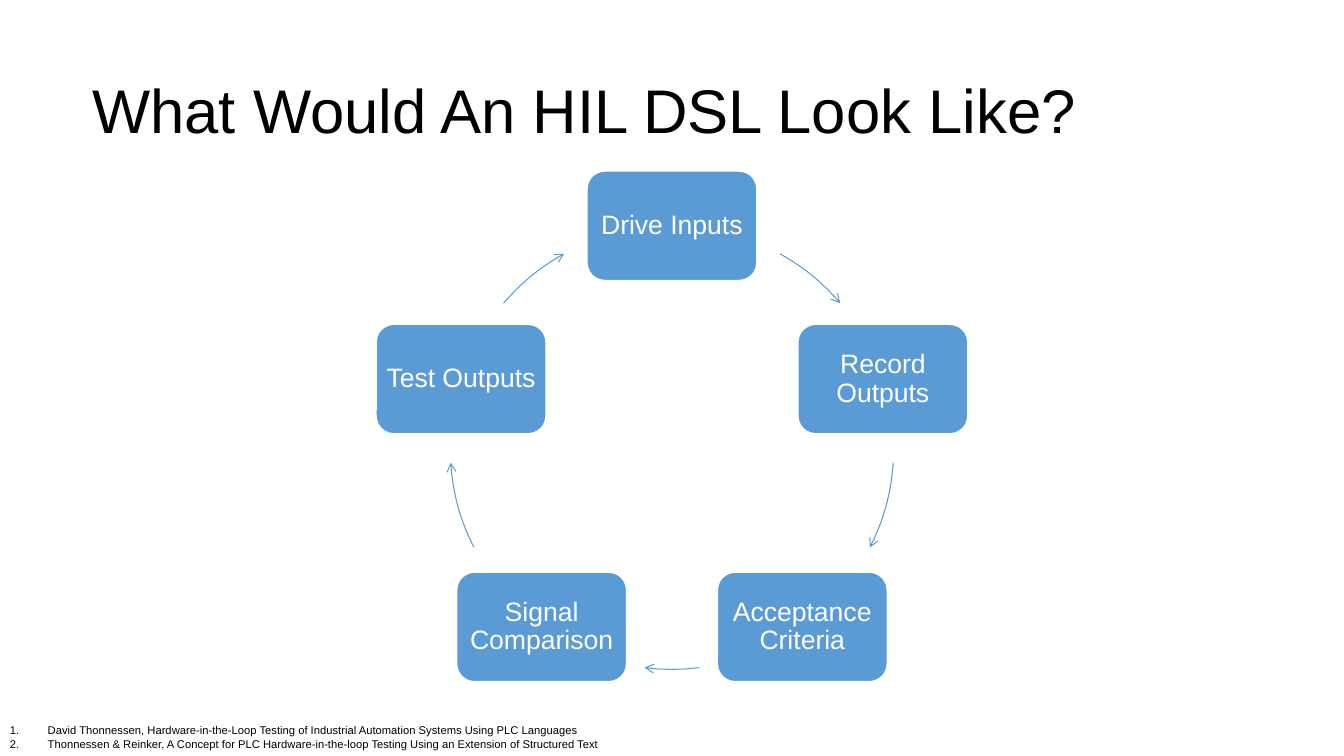
import math
import pptx
import pptx.util
import pptx.dml.color
import pptx.enum.shapes
import pptx.enum.text
import pptx.oxml
import pptx.oxml.ns
from pptx.util import Pt

BLUE, WHITE, BLACK = "5B9BD5", "FFFFFF", "000000"
SHAPE = pptx.enum.shapes.MSO_SHAPE
MIDDLE = pptx.enum.text.MSO_ANCHOR.MIDDLE


def rgb(value):
    return pptx.dml.color.RGBColor.from_string(value)


def style(p, size, color):
    p.font.name = "Arial"
    p.font.size = Pt(size)
    p.font.color.rgb = rgb(color)


prs = pptx.Presentation()
prs.slide_width, prs.slide_height = Pt(960), Pt(540)
s = prs.slides.add_slide(prs.slide_layouts[6])

# Title
tf = s.shapes.add_textbox(Pt(66), Pt(28.8), Pt(828), Pt(104.4)).text_frame
tf.word_wrap = True
tf.vertical_anchor = MIDDLE
tf.margin_left = tf.margin_right = tf.margin_top = tf.margin_bottom = 0
p = tf.paragraphs[0]
p.text = "What Would An HIL DSL Look Like?"
p.line_spacing = 0.9
style(p, 44, BLACK)

# Cycle: boxes evenly spaced on a circle, clockwise from the top,
# each followed by its arc (start and end in degrees from the right)
cx, cy, radius = 480, 319.7, 158.4
box_w, box_h = 122.4, 79.2
steps = [
    ("Drive Inputs", 299.1, 319.4),
    ("Record Outputs", 3.9, 26.8),
    ("Acceptance Criteria", 82.9, 97.1),
    ("Signal Comparison", 153.2, 176.1),
    ("Test Outputs", 220.6, 240.9),
]
for i, (label, start, end) in enumerate(steps):
    angle = math.radians(i * 360 / len(steps) - 90)
    x = cx + radius * math.cos(angle) - box_w / 2
    y = cy + radius * math.sin(angle) - box_h / 2
    box = s.shapes.add_shape(SHAPE.ROUNDED_RECTANGLE, Pt(x), Pt(y), Pt(box_w), Pt(box_h))
    box.shadow.inherit = False
    box.fill.solid()
    box.fill.fore_color.rgb = rgb(BLUE)
    box.line.color.rgb = rgb(WHITE)
    box.line.width = Pt(2)
    tf = box.text_frame
    tf.word_wrap = True
    tf.vertical_anchor = MIDDLE
    # The rounded corners already inset the text by about 4 points
    tf.margin_left = tf.margin_right = tf.margin_top = tf.margin_bottom = Pt(4)
    p = tf.paragraphs[0]
    p.text = label
    p.alignment = pptx.enum.text.PP_ALIGN.CENTER
    p.line_spacing = 0.9
    style(p, 19, WHITE)

    arc = s.shapes.add_shape(SHAPE.ARC, Pt(cx - radius), Pt(cy - radius), Pt(2 * radius), Pt(2 * radius))
    arc.shadow.inherit = False
    arc.fill.background()
    # Arc angles are stored in 1/60000 degree, adjustments in 1/100000
    arc.adjustments[0] = start * 0.6
    arc.adjustments[1] = end * 0.6
    arc.line.color.rgb = rgb(BLUE)
    arc.line.width = Pt(0.75)
    ln = arc.line._get_or_add_ln()
    ln.append(pptx.oxml.parse_xml(f'<a:tailEnd {pptx.oxml.ns.nsdecls("a")} type="arrow"/>'))

# Numbered references
references = [
    "David Thonnessen, Hardware-in-the-Loop Testing of Industrial Automation Systems Using PLC Languages",
    "Thonnessen & Reinker, A Concept for PLC Hardware-in-the-loop Testing Using an Extension of Structured Text",
]
tf = s.shapes.add_textbox(Pt(0), Pt(513.4), Pt(940), Pt(26.6)).text_frame
tf.word_wrap = True
for i, reference in enumerate(references):
    p = tf.add_paragraph() if i else tf.paragraphs[0]
    p.text = reference
    style(p, 8, BLACK)
    pPr = p._p.get_or_add_pPr()
    pPr.set("marL", str(Pt(27)))
    pPr.set("indent", str(-Pt(27)))
    pPr.insert(0, pptx.oxml.parse_xml(f'<a:buAutoNum {pptx.oxml.ns.nsdecls("a")} type="arabicPeriod"/>'))

prs.save("out.pptx")
